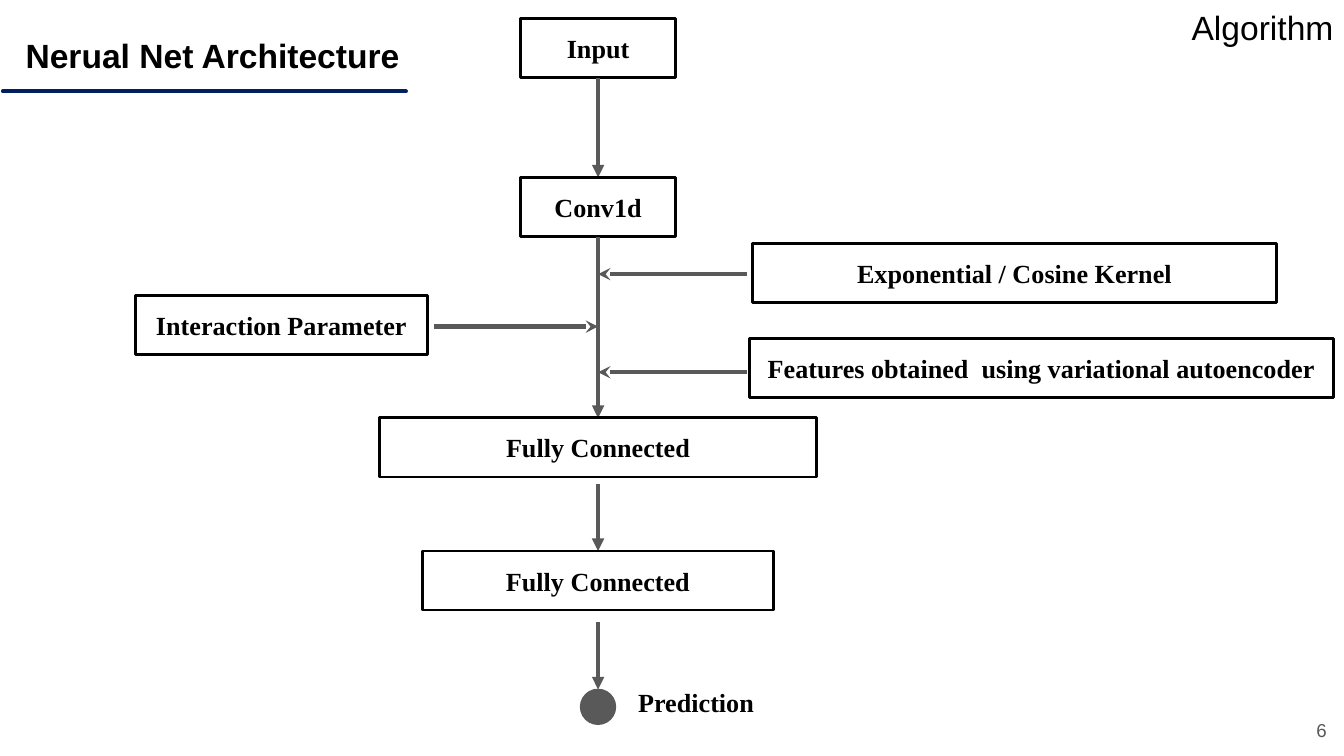
from pptx import Presentation
from pptx.dml.color import RGBColor
from pptx.enum.shapes import MSO_CONNECTOR, MSO_SHAPE
from pptx.enum.text import MSO_ANCHOR as ANCHOR, PP_ALIGN as ALIGN
from pptx.oxml.ns import qn
from pptx.util import Inches, Pt
from lxml.etree import SubElement

COLORS = {"black": "000000", "gray": "595959", "navy": "002060"}
AXIS, BOX_H, DOT = 4.45, 0.44, 0.26

# Boxes centred on the main axis: text, top, width
LAYERS = [
    ("Input", 0.14, 1.15),
    ("Conv1d", 1.32, 1.15),
    ("Fully Connected", 3.11, 3.25),
    ("Fully Connected", 4.1, 2.61),
]
DOT_TOP = 5.13
# Gap between a box and the start of the arrow below it
ARROW_GAPS = [0, 0, 0.05, 0.09]

# Boxes feeding the main axis: text, left, top, width, arrow start x, arrow y
SIDE_INPUTS = [
    ("Interaction Parameter", 1.01, 2.2, 2.17, 3.23, 2.43),
    ("Exponential / Cosine Kernel", 5.6, 1.81, 3.9, 5.56, 2.04),
    ("Features obtained  using variational autoencoder", 5.58, 2.52, 4.34, 5.56, 2.77),
]

LABEL = {"name": "Times New Roman", "size": Pt(14), "bold": True}
HEADING = {"name": "Arial", "size": Pt(18), "bold": True}
TOPIC = {"name": "Arial", "size": Pt(18), "bold": False}
NUMBER = {"name": "Arial", "size": Pt(10), "bold": False}

# Text boxes: text, left, top, width, height, font, color, alignment, anchor, vertical inset
TEXTS = [
    ("Prediction", 4.65, 5.01, 1.6, 0.44, LABEL, "black", ALIGN.LEFT, ANCHOR.TOP, 0.1),
    ("Algorithm", 7.54, 0, 2.48, 0.36, TOPIC, "black", ALIGN.RIGHT, ANCHOR.TOP, 0.05),
    ("6", 9.53, 5.23, 0.44, 0.4, NUMBER, "gray", ALIGN.RIGHT, ANCHOR.MIDDLE, 0.1),
]


def rgb(name):
    return RGBColor.from_string(COLORS[name])


def write(sp, text, font, color="black", align=ALIGN.CENTER, anchor=ANCHOR.MIDDLE, inset=0.1):
    tf = sp.text_frame
    frame = {
        "word_wrap": True, "vertical_anchor": anchor,
        "margin_left": Inches(0.1), "margin_right": Inches(0.1),
        "margin_top": Inches(inset), "margin_bottom": Inches(inset),
    }
    for key, value in frame.items():
        setattr(tf, key, value)
    p = tf.paragraphs[0]
    p.alignment = align
    r = p.add_run()
    r.text = text
    for key, value in font.items():
        setattr(r.font, key, value)
    r.font.color.rgb = rgb(color)


def add_shape(slide, kind, left, top, width, height, line, line_width, fill=None):
    sp = slide.shapes.add_shape(
        kind, Inches(left), Inches(top), Inches(width), Inches(height))
    sp.shadow.inherit = False
    if fill:
        sp.fill.solid()
        sp.fill.fore_color.rgb = rgb(fill)
    else:
        sp.fill.background()
    sp.line.color.rgb = rgb(line)
    sp.line.width = Pt(line_width)
    return sp


def add_box(slide, text, left, top, width):
    sp = add_shape(slide, MSO_SHAPE.RECTANGLE, left, top, width, BOX_H, "black", 1.5)
    write(sp, text, LABEL)


def add_arrow(slide, x1, y1, x2, y2, head):
    arrow = slide.shapes.add_connector(
        MSO_CONNECTOR.STRAIGHT, Inches(x1), Inches(y1), Inches(x2), Inches(y2))
    arrow.line.color.rgb = rgb("gray")
    arrow.line.width = Pt(2.25)
    sp_pr = arrow._element.spPr
    SubElement(sp_pr.find(qn("a:ln")), qn("a:tailEnd"), type=head)
    SubElement(sp_pr, qn("a:effectLst"))


def add_title(slide, text):
    title = slide.shapes.title
    title.left, title.top = Inches(0.09), Inches(0.16)
    title.width, title.height = Inches(3.25), Inches(0.5)
    write(title, text, HEADING, align=ALIGN.LEFT, anchor=ANCHOR.TOP)
    add_shape(slide, MSO_SHAPE.RECTANGLE, 0.02, 0.68, 3, 0, "navy", 2, "navy")


def add_network(slide):
    ends = [top for _, top, _ in LAYERS[1:]] + [DOT_TOP]
    for (text, top, width), gap, end in zip(LAYERS, ARROW_GAPS, ends):
        add_box(slide, text, AXIS - width / 2, top, width)
        add_arrow(slide, AXIS, top + BOX_H + gap, AXIS, end, "triangle")
    for text, left, top, width, start, y in SIDE_INPUTS:
        add_box(slide, text, left, top, width)
        add_arrow(slide, start, y, AXIS, y, "stealth")
    add_shape(slide, MSO_SHAPE.OVAL, AXIS - DOT / 2, DOT_TOP, DOT, DOT, "gray", 0.75, "gray")


def main():
    prs = Presentation()
    prs.slide_width = Inches(10)
    prs.slide_height = prs.slide_width * 9 // 16
    slide = prs.slides.add_slide(prs.slide_layouts[5])
    add_title(slide, "Nerual Net Architecture")
    add_network(slide)
    for text, left, top, width, height, *style in TEXTS:
        sp = slide.shapes.add_textbox(
            Inches(left), Inches(top), Inches(width), Inches(height))
        write(sp, text, *style)
    prs.save("out.pptx")


if __name__ == "__main__":
    main()
